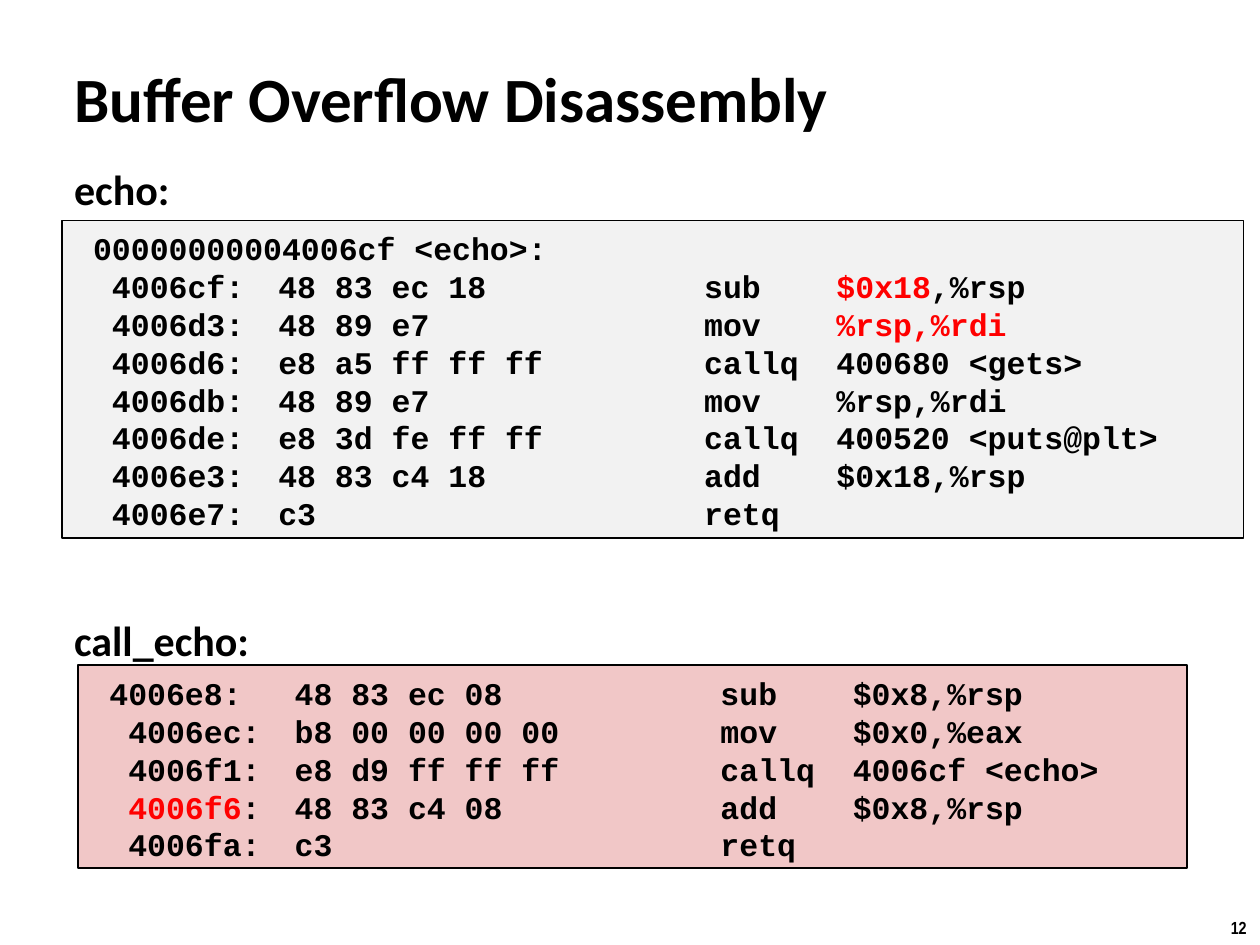
from lxml.etree import SubElement
from pptx import Presentation
from pptx.dml.color import RGBColor
from pptx.enum.shapes import MSO_SHAPE
from pptx.enum.text import MSO_ANCHOR, PP_ALIGN
from pptx.oxml.ns import qn
from pptx.util import Inches, Pt

COLORS = {"black": "000000", "red": "FF0000", "gray": "F2F2F2", "pink": "F1C7C7"}

# Text between bars is red; each tab moves to the next code column
TITLE = "Buffer Overflow Disassembly"
ECHO = [
    " 00000000004006cf <echo>:",
    "  4006cf:\t48 83 ec 18\tsub\t|$0x18|,%rsp",
    "  4006d3:\t48 89 e7\tmov\t|%rsp,%rdi|",
    "  4006d6:\te8 a5 ff ff ff\tcallq\t400680 <gets>",
    "  4006db:\t48 89 e7\tmov\t%rsp,%rdi",
    "  4006de:\te8 3d fe ff ff\tcallq\t400520 <puts@plt>",
    "  4006e3:\t48 83 c4 18\tadd\t$0x18,%rsp",
    "  4006e7:\tc3\tretq",
]
CALL_ECHO = [
    " 4006e8:\t48 83 ec 08\tsub\t$0x8,%rsp",
    "  4006ec:\tb8 00 00 00 00\tmov\t$0x0,%eax",
    "  4006f1:\te8 d9 ff ff ff\tcallq\t4006cf <echo>",
    "  |4006f6|:\t48 83 c4 08\tadd\t$0x8,%rsp",
    "  4006fa:\tc3\tretq",
]
# Listing lines, fill, left, top, width, height
LISTINGS = [
    (ECHO, "gray", 0.49, 1.75, 9.38, 2.52),
    (CALL_ECHO, "pink", 0.62, 5.28, 8.8, 1.61),
]
# Text, left, top, width, height, font, size
LABELS = [
    ("call_echo:", 0.49, 4.83, 1.61, 0.5, "Calibri", 24),
    ("echo:", 0.49, 1.25, 0.97, 0.5, "Calibri", 24),
    ("12", 9.67, 7.23, 0.34, 0.27, "Arial Narrow", 10),
]
CODE_TABS = (1.62, 5, 6.05)


def rgb(name):
    return RGBColor.from_string(COLORS[name])


def write(para, text, font="Calibri", size=24, tabs=(), line=None):
    """Fill a paragraph, with red text between bars."""
    if tabs:
        tab_list = SubElement(para._p.get_or_add_pPr(), qn("a:tabLst"))
        for position in tabs:
            SubElement(tab_list, qn("a:tab"), pos=str(Inches(position)), algn="l")
    para.alignment = PP_ALIGN.LEFT
    if line:
        para.line_spacing = Pt(line)
    for index, part in enumerate(text.split("|")):
        if part:
            span = para.add_run()
            span.text = part
            span.font.name = font
            span.font.size = Pt(size)
            span.font.bold = True
            span.font.color.rgb = rgb("red" if index % 2 else "black")


def add_listing(page, lines, fill, *place):
    box = page.shapes.add_shape(MSO_SHAPE.RECTANGLE, *map(Inches, place))
    box.shadow.inherit = False
    box.fill.solid()
    box.fill.fore_color.rgb = rgb(fill)
    box.line.color.rgb = rgb("black")
    box.line.width = Pt(1)
    frame = box.text_frame
    frame.word_wrap = True
    frame.vertical_anchor = MSO_ANCHOR.TOP
    frame.margin_top = Inches(0.07)
    for index, text in enumerate(lines):
        para = frame.add_paragraph() if index else frame.paragraphs[0]
        write(para, text, font="Courier New", size=18, tabs=CODE_TABS, line=21.6)


def main():
    deck = Presentation()
    deck.slide_width, deck.slide_height = Inches(10), Inches(7.5)
    page = deck.slides.add_slide(deck.slide_layouts[5])

    # Title
    title = page.shapes.title
    title.left, title.top = Inches(0.49), Inches(0.46)
    title.width, title.height = Inches(7.76), Inches(0.63)
    title.text_frame.vertical_anchor = MSO_ANCHOR.MIDDLE
    write(title.text_frame.paragraphs[0], TITLE, size=36)

    # Code listings
    for listing in LISTINGS:
        add_listing(page, *listing)

    # Function labels and page number
    for text, left, top, width, height, font, size in LABELS:
        box = page.shapes.add_textbox(*map(Inches, (left, top, width, height)))
        box.text_frame.word_wrap = False
        write(box.text_frame.paragraphs[0], text, font=font, size=size)

    deck.save("out.pptx")


if __name__ == "__main__":
    main()
